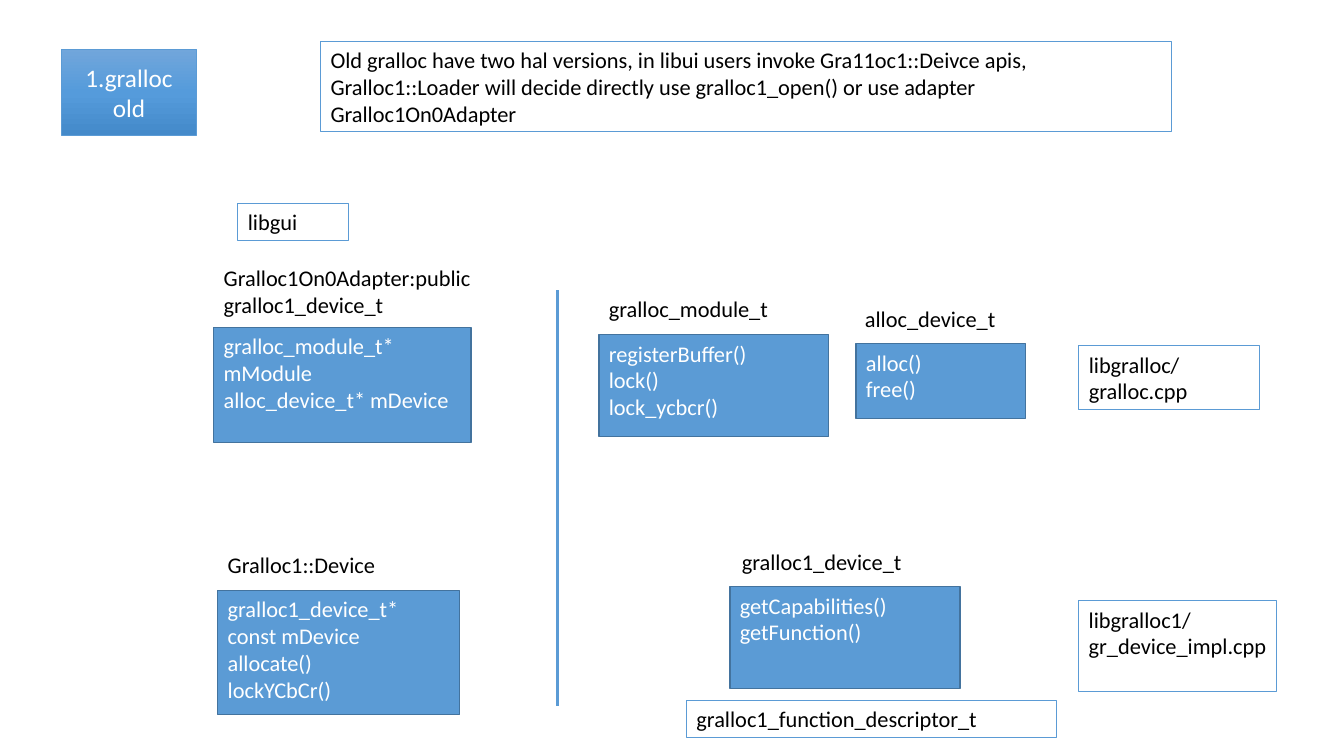
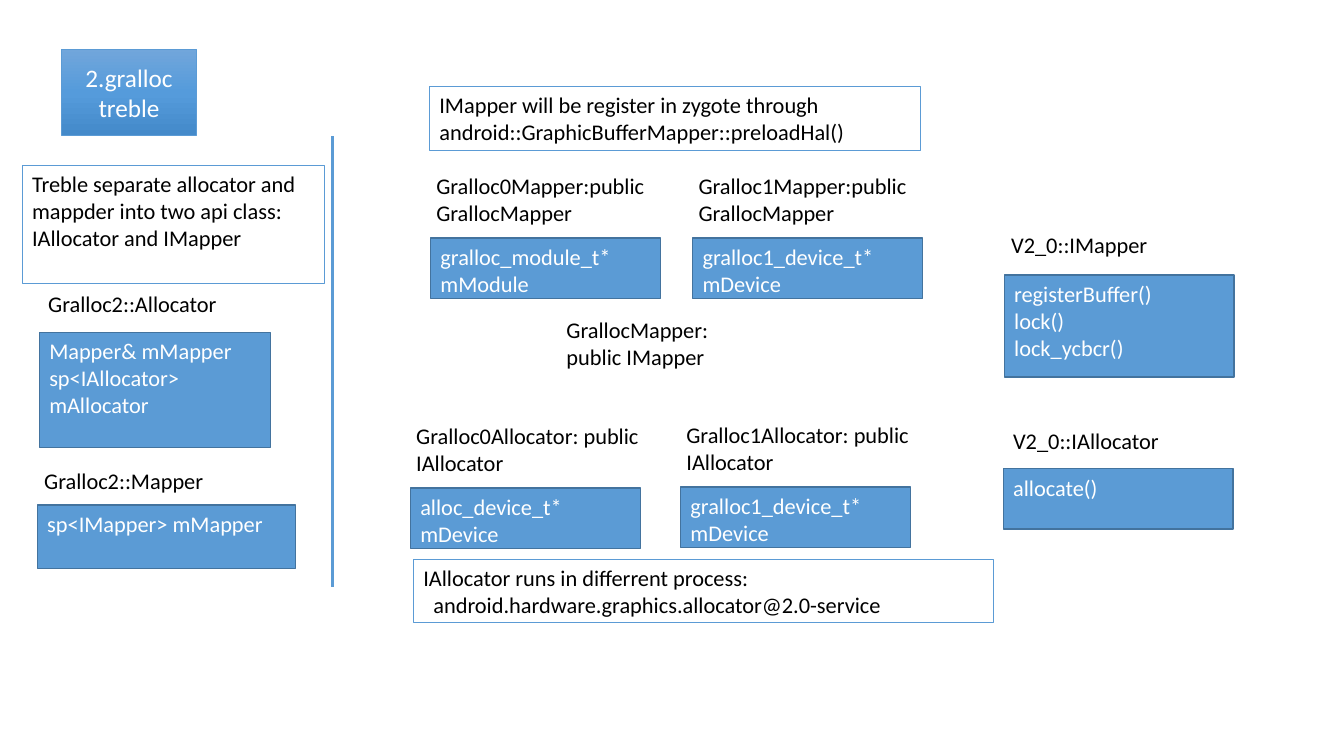
"""Build two slides comparing the old gralloc classes with the treble ones."""
from copy import deepcopy

from pptx import Presentation
from pptx import util as u
from pptx.dml.color import RGBColor
from pptx.enum import shapes, text
from pptx.oxml import ns, xmlchemy

COLORS = {
    "blue": "5B9BD5",
    "edge": "43739E",
    "light": "71A6DB",
    "middle": "559BDB",
    "deep": "448ACA",
    "black": "000000",
    "white": "FFFFFF",
}


class Diagram:
    """Hold the shared style and the slide being drawn."""

    font = "Calibri"
    body_size = 16
    heading_size = 18

    def __init__(self):
        self.deck = Presentation()
        self.deck.slide_width = u.Inches(13.33)
        self.deck.slide_height = u.Inches(7.5)
        self.slide = None

    def color(self, name):
        return RGBColor.from_string(COLORS[name])

    def set_words(self, shape, words, color, size=body_size,
                  align=text.PP_ALIGN.LEFT, anchor=text.MSO_ANCHOR.TOP):
        frame = shape.text_frame
        frame.word_wrap = True
        frame.vertical_anchor = anchor
        frame.text = words
        for paragraph in frame.paragraphs:
            paragraph.alignment = align
            paragraph.font.name = self.font
            paragraph.font.size = u.Pt(size)
            paragraph.font.color.rgb = self.color(color)

    def rectangle(self, at, edge, weight):
        shape = self.slide.shapes.add_shape(
            shapes.MSO_SHAPE.RECTANGLE, *map(u.Inches, at))
        shape.shadow.inherit = False
        shape.line.color.rgb = self.color(edge)
        shape.line.width = u.Pt(weight)
        return shape

    def start(self, heading):
        self.slide = self.deck.slides.add_slide(self.deck.slide_layouts[6])
        badge = self.rectangle((0.61, 0.49, 1.34, 0.85), "blue", 0.5)
        badge.fill.gradient()
        badge.fill.gradient_angle = 270
        stop_list = next(badge._element.iter(ns.qn("a:gsLst")))
        stop_list.insert(1, deepcopy(stop_list[0]))
        tones = zip(badge.fill.gradient_stops, (0, 0.5, 1), ("light", "middle", "deep"))
        for stop, position, tone in tones:
            stop.position = position
            stop.color.rgb = self.color(tone)
        self.set_words(badge, heading, "white", self.heading_size,
                       text.PP_ALIGN.CENTER, text.MSO_ANCHOR.MIDDLE)

    def label(self, words, at):
        caption = self.slide.shapes.add_textbox(*map(u.Inches, at))
        self.set_words(caption, words, "black")

    def members(self, words, at):
        box = self.rectangle(at, "edge", 1)
        box.fill.solid()
        box.fill.fore_color.rgb = self.color("blue")
        self.set_words(box, words, "white")

    def note(self, words, at):
        box = self.rectangle(at, "blue", 0.75)
        box.fill.background()
        self.set_words(box, words, "black")
        return box

    def divider(self, x, top, bottom):
        rule = self.slide.shapes.add_connector(
            shapes.MSO_CONNECTOR.STRAIGHT,
            *map(u.Inches, (x, top, x, bottom)))
        rule.line.color.rgb = self.color("blue")
        rule.line.width = u.Pt(2)
        rule._element.spPr.append(xmlchemy.OxmlElement("a:effectLst"))


def old_gralloc(diagram):
    diagram.start("1.gralloc\nold")
    diagram.note(
        "Old gralloc have two hal versions, in libui users invoke "
        "Gra11oc1::Deivce apis, Gralloc1::Loader will decide directly use "
        "gralloc1_open() or use adapter Gralloc1On0Adapter",
        (3.18, 0.41, 8.44, 0.9))
    diagram.note("libgui", (2.36, 2.02, 1.1, 0.37))
    diagram.divider(5.53, 2.88, 7)

    diagram.label("Gralloc1On0Adapter:public gralloc1_device_t", (2.12, 2.57, 2.99, 0.63))
    diagram.members("gralloc_module_t* mModule\nalloc_device_t* mDevice",
                    (2.12, 3.25, 2.55, 1.14))
    diagram.label("Gralloc1::Device", (2.16, 5.42, 2.02, 0.37))
    diagram.members("gralloc1_device_t* const mDevice\nallocate()\nlockYCbCr()",
                    (2.16, 5.86, 2.4, 1.23))

    diagram.label("gralloc_module_t", (5.94, 2.88, 2.02, 0.37))
    diagram.members("registerBuffer()\nlock()\nlock_ycbcr()", (5.94, 3.32, 2.28, 1.01))
    diagram.label("alloc_device_t", (8.48, 2.98, 2.02, 0.37))
    diagram.members("alloc()\nfree()", (8.49, 3.41, 1.68, 0.74))
    diagram.note("libgralloc/\ngralloc.cpp", (10.7, 3.43, 1.79, 0.63))

    diagram.label("gralloc1_device_t", (7.26, 5.39, 2.23, 0.37))
    diagram.members("getCapabilities()\ngetFunction()", (7.24, 5.82, 2.28, 1.01))
    diagram.note("gralloc1_function_descriptor_t", (6.81, 6.95, 3.67, 0.37))
    diagram.note("libgralloc1/\ngr_device_impl.cpp", (10.7, 5.96, 1.96, 0.9))


def treble_gralloc(diagram):
    diagram.start("2.gralloc\ntreble")
    diagram.note(
        "Treble separate allocator and mappder into two api class: "
        "IAllocator and IMapper", (0.22, 1.64, 3, 1.17))
    diagram.divider(3.3, 1.35, 5.82)

    diagram.label("Gralloc2::Allocator", (0.38, 2.83, 2.45, 0.37))
    diagram.members("Mapper& mMapper\nsp<IAllocator> mAllocator", (0.39, 3.3, 2.29, 1.14))
    diagram.label("Gralloc2::Mapper", (0.34, 4.59, 2.45, 0.37))
    diagram.members("sp<IMapper> mMapper", (0.37, 5.01, 2.56, 0.63))

    diagram.note("IMapper will be register in zygote through\n"
                 "android::GraphicBufferMapper::preloadHal()", (4.26, 0.86, 4.87, 0.63))
    implementations = (
        ("Gralloc0Mapper:public GrallocMapper", "gralloc_module_t* mModule", 4.27, 2.36),
        ("Gralloc1Mapper:public GrallocMapper", "gralloc1_device_t* mDevice", 6.87, 2.36),
        ("Gralloc0Allocator: public IAllocator", "alloc_device_t* mDevice", 4.07, 4.84),
        ("Gralloc1Allocator: public IAllocator", "gralloc1_device_t* mDevice", 6.75, 4.83),
    )
    for title, member, left, top in implementations:
        diagram.label(title, (left - 0.04, top - 0.7, 2.5, 0.63))
        diagram.members(member, (left, top, 2.28, 0.6))
    diagram.label("GrallocMapper: public IMapper", (5.52, 3.09, 2.02, 0.63))
    service = diagram.note("IAllocator runs in differrent process:\n"
                           "android.hardware.graphics.allocator@2.0-service",
                           (4.1, 5.55, 5.75, 0.63))
    service_name = service.text_frame.paragraphs[1]
    service_name._p.get_or_add_pPr().set("marL", str(u.Inches(0.1)))

    diagram.label("V2_0::IMapper", (9.93, 2.24, 1.72, 0.37))
    diagram.members("registerBuffer()\nlock()\nlock_ycbcr()", (9.96, 2.73, 2.28, 1.01))
    diagram.label("V2_0::IAllocator", (9.95, 4.19, 2.06, 0.37))
    diagram.members("allocate()", (9.95, 4.65, 2.28, 0.6))


def main():
    diagram = Diagram()
    old_gralloc(diagram)
    treble_gralloc(diagram)
    diagram.deck.save("out.pptx")


if __name__ == "__main__":
    main()
